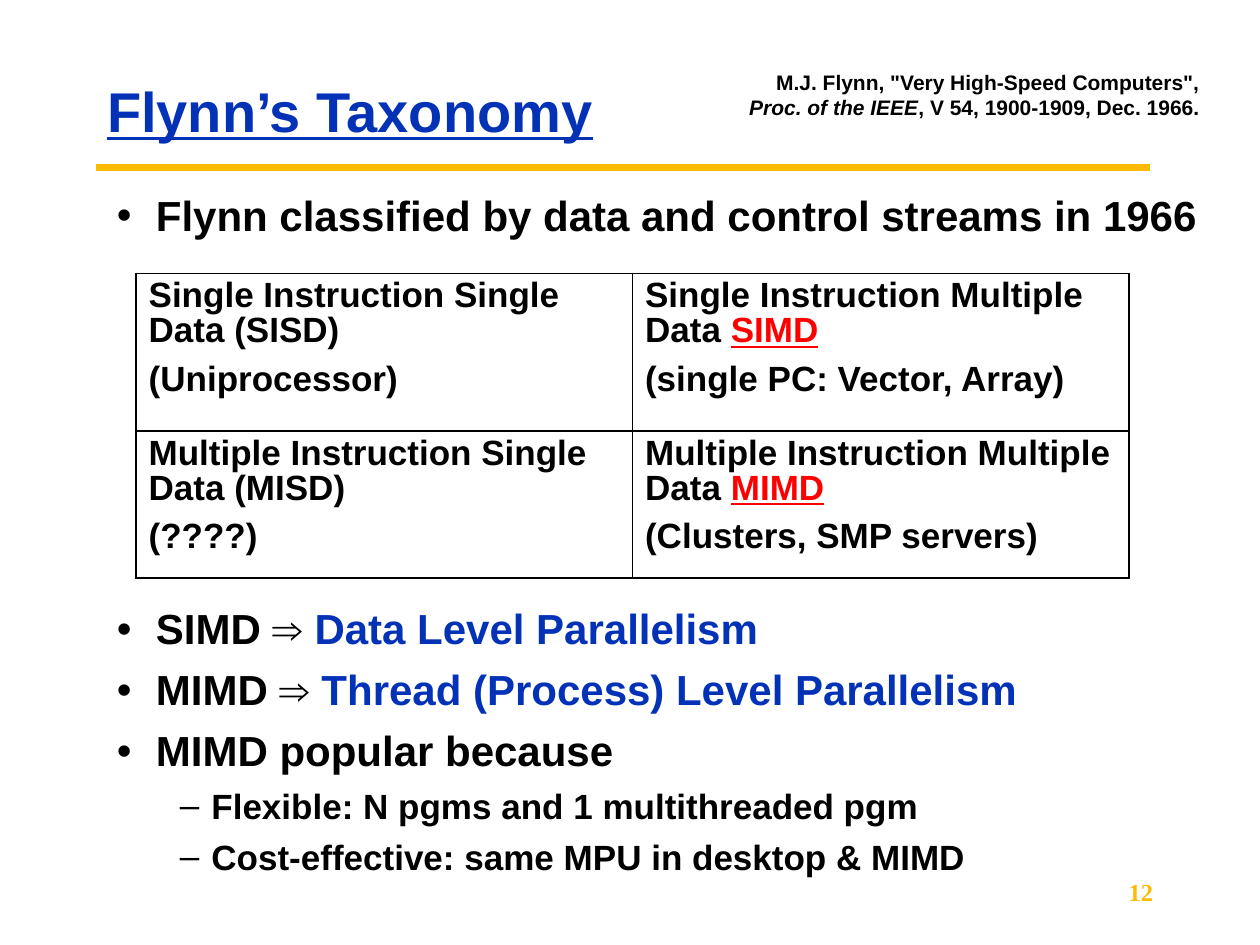
from lxml.etree import SubElement
from pptx import Presentation
from pptx.dml.color import RGBColor
from pptx.enum.shapes import MSO_CONNECTOR
from pptx.enum.text import MSO_ANCHOR, PP_ALIGN
from pptx.oxml.ns import qn
from pptx.util import Inches, Pt

BLACK = RGBColor(0, 0, 0)
BLUE = RGBColor(0x03, 0x32, 0xB7)
GOLD = RGBColor(0xFB, 0xBA, 0x03)
RED = RGBColor(0xFF, 0, 0)

# Each paragraph is a list of (text, format changes) runs.
TITLE = [[("Flynn’s Taxonomy", {"color": BLUE, "underline": True})]]
CITATION = [[
    ("M.J. Flynn, \"Very High-Speed Computers\",\v", {}),
    ("Proc. of the IEEE", {"italic": True}),
    (", V 54, 1900-1909, Dec. 1966.", {}),
]]
PAGE_NUMBER = [[("12", {"name": "Times New Roman", "color": GOLD})]]
INTRO = [[("Flynn classified by data and control streams in 1966", {})]]
CONCLUSIONS = [
    [("SIMD ⇒ ", {}), ("Data Level Parallelism", {"color": BLUE})],
    [("MIMD ⇒ ", {}), ("Thread (Process) Level Parallelism", {"color": BLUE})],
    [("MIMD popular because", {})],
]
REASONS = [
    [("Flexible: N pgms and 1 multithreaded pgm", {})],
    [("Cost-effective: same MPU in desktop & MIMD", {})],
]
KEYWORD = {"color": RED, "underline": True}
TAXONOMY = [
    [
        [[("Single Instruction Single Data (SISD)", {})],
         [("(Uniprocessor)", {})]],
        [[("Single Instruction Multiple Data ", {}), ("SIMD", KEYWORD)],
         [("(single PC: Vector, Array)", {})]],
    ],
    [
        [[("Multiple Instruction Single Data (MISD)", {})],
         [("(????)", {})]],
        [[("Multiple Instruction Multiple Data ", {}), ("MIMD", KEYWORD)],
         [("(Clusters, SMP servers)", {})]],
    ],
]
ROW_HEIGHTS = [1.25, 1.17]
COLUMN_WIDTH = 3.94

# Bullet levels: character, text indent and hanging indent in inches.
MAIN_BULLET = ("•", 0.31, 0.31)
SUB_BULLET = ("–", 0.75, 0.25)


def add_bullet(para, bullet):
    character, indent, hanging = bullet
    properties = para._p.get_or_add_pPr()
    properties.set("marL", str(Inches(indent)))
    properties.set("indent", str(-Inches(hanging)))
    color = SubElement(properties, qn("a:buClr"))
    SubElement(color, qn("a:srgbClr"), val=str(BLACK))
    SubElement(properties, qn("a:buFont"), typeface="Arial")
    SubElement(properties, qn("a:buChar"), char=character)


def write(frame, paragraphs, size, bullet=None, **para_format):
    """Append paragraphs to a text frame, filling its empty first one."""
    space = para_format.pop("space_before", 0)
    for runs in paragraphs:
        first = not frame.text
        para = frame.paragraphs[0] if first else frame.add_paragraph()
        if bullet:
            add_bullet(para, bullet)
            para.level = 1 if bullet is SUB_BULLET else 0
        para.space_before = Pt(0 if first else space)
        for name, value in para_format.items():
            setattr(para, name, value)
        for text, changes in runs:
            style = {"name": "Arial", "size": Pt(size), "bold": True,
                     "color": BLACK, **changes}
            color = style.pop("color")
            for index, part in enumerate(text.split("\v")):
                if index:
                    para.add_line_break()
                if not part:
                    continue
                span = para.add_run()
                span.text = part
                for name, value in style.items():
                    setattr(span.font, name, value)
                span.font.color.rgb = color


def add_box(page, left, top, width, height):
    box = page.shapes.add_textbox(*map(Inches, (left, top, width, height)))
    box.text_frame.word_wrap = True
    return box.text_frame


def set_borders(cell):
    properties = cell._tc.get_or_add_tcPr()
    for position, side in enumerate(("lnL", "lnR", "lnT", "lnB")):
        line = SubElement(properties, qn(f"a:{side}"), w=str(Pt(1.08)))
        fill = SubElement(line, qn("a:solidFill"))
        SubElement(fill, qn("a:srgbClr"), val=str(BLACK))
        properties.insert(position, line)


def add_taxonomy(page):
    columns = len(TAXONOMY[0])
    table = page.shapes.add_table(
        len(TAXONOMY), columns, Inches(1.08), Inches(2.17),
        Inches(COLUMN_WIDTH * columns), Inches(sum(ROW_HEIGHTS))).table
    table.first_row = table.horz_banding = False
    for column in table.columns:
        column.width = Inches(COLUMN_WIDTH)
    for row, height, contents in zip(table.rows, ROW_HEIGHTS, TAXONOMY):
        row.height = Inches(height)
        for cell, paragraphs in zip(row.cells, contents):
            cell.fill.background()
            set_borders(cell)
            write(cell.text_frame, paragraphs, 20,
                  line_spacing=0.9, space_before=7.5)


def main():
    deck = Presentation()
    deck.slide_width, deck.slide_height = Inches(10), Inches(7.5)
    page = deck.slides.add_slide(deck.slide_layouts[5])

    rule = page.shapes.add_connector(
        MSO_CONNECTOR.STRAIGHT,
        Inches(0.76), Inches(1.33), Inches(9.13), Inches(1.33))
    rule.line.color.rgb = GOLD
    rule.line.width = Pt(3.75)
    SubElement(rule._element.spPr, qn("a:effectLst"))

    title = page.shapes.title
    title.left, title.top = Inches(0.75), Inches(0.5)
    title.width, title.height = Inches(8.39), Inches(0.81)
    title.text_frame.vertical_anchor = MSO_ANCHOR.MIDDLE
    write(title.text_frame, TITLE, 32,
          alignment=PP_ALIGN.LEFT, line_spacing=0.9)

    write(add_box(page, 5.5, 0.5, 4.12, 0.5), CITATION, 12,
          alignment=PP_ALIGN.RIGHT)

    bullets = {"line_spacing": 0.9, "space_before": 9}
    write(add_box(page, 0.83, 1.5, 9.17, 0.5), INTRO, 24,
          MAIN_BULLET, **bullets)
    add_taxonomy(page)
    closing = add_box(page, 0.83, 4.78, 9.17, 2.3)
    write(closing, CONCLUSIONS, 24, MAIN_BULLET, **bullets)
    write(closing, REASONS, 20, SUB_BULLET,
          line_spacing=0.9, space_before=7.5)

    number = add_box(page, 7.17, 6.83, 2.08, 0.5)
    number.vertical_anchor = MSO_ANCHOR.MIDDLE
    write(number, PAGE_NUMBER, 14, alignment=PP_ALIGN.RIGHT)

    deck.save("out.pptx")


if __name__ == "__main__":
    main()
